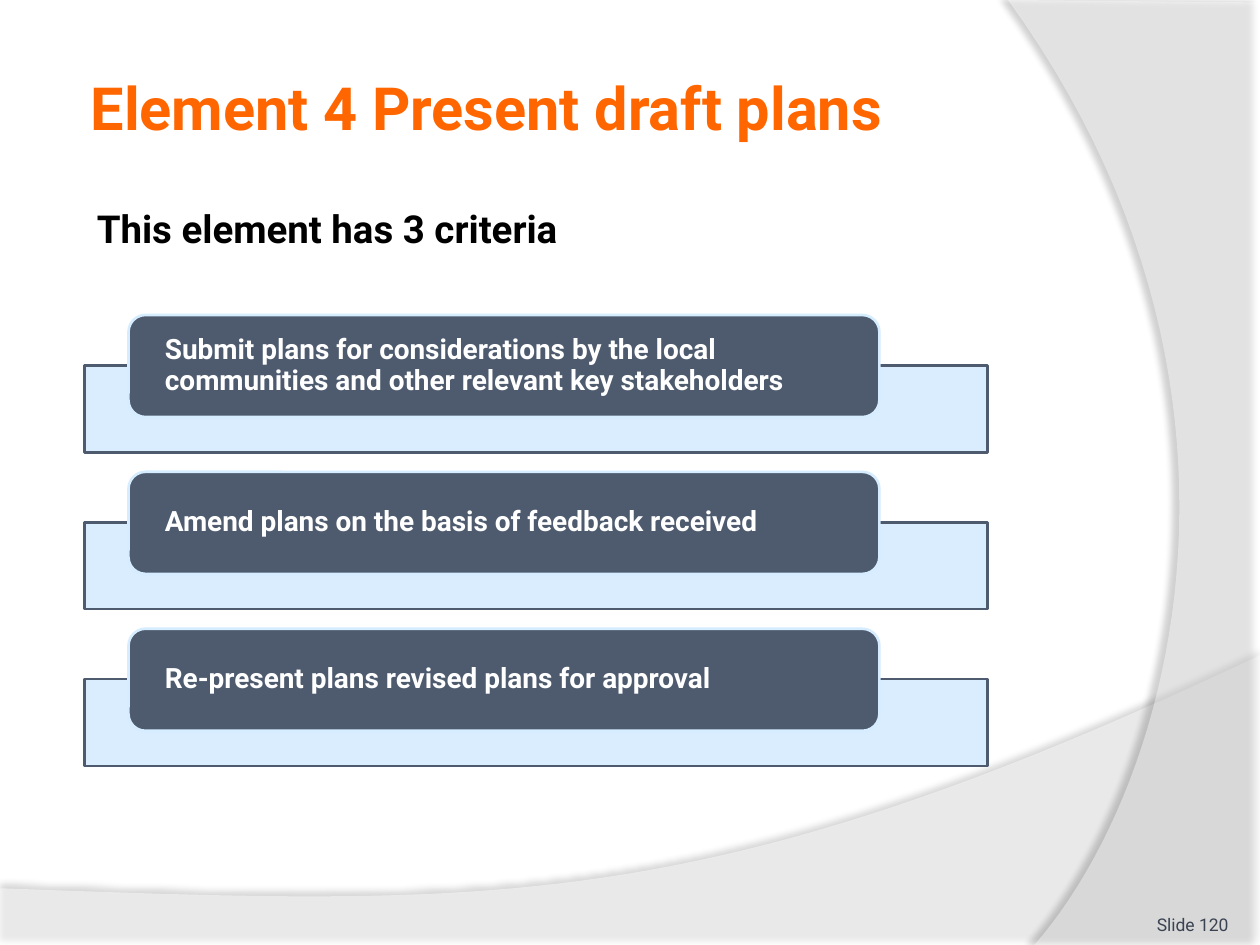
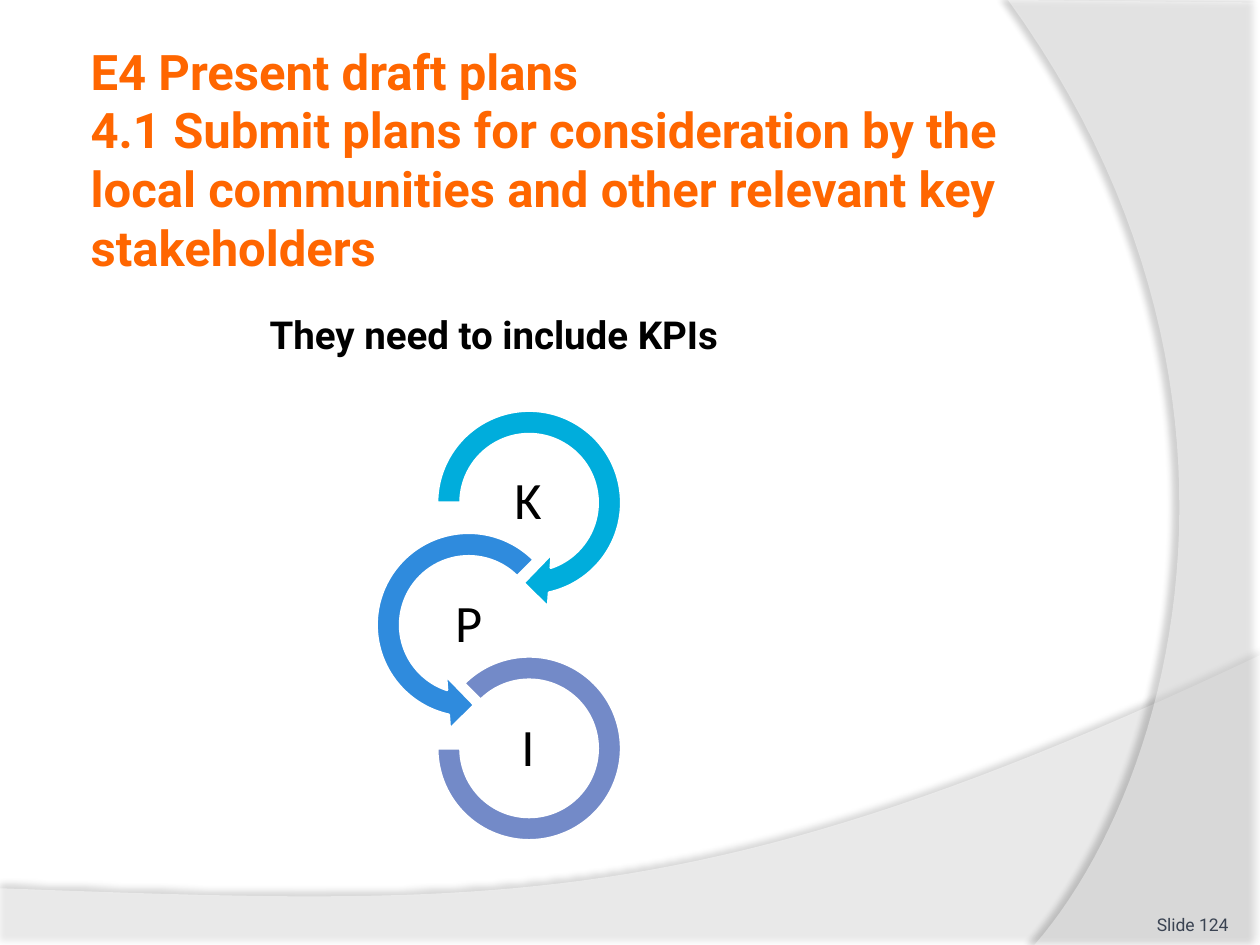
from lxml import etree
from pptx import Presentation
from pptx import util as u
from pptx.dml.color import RGBColor
from pptx.enum import shapes, text
from pptx.oxml.ns import qn

I = u.Inches
SHAPE = shapes.MSO_SHAPE
LEFT = 0.67
WHITE, BLACK, ORANGE = "FFFFFF", "000000", "FF6600"
SLATE, PALE, FOOTER = "4E5B6F", "D6ECFF", "3A4352"

TITLE = {"name": "Roboto", "bold": True, "color": ORANGE}
LEAD = {"name": "Roboto", "bold": True, "color": BLACK, "size": 22}
LABEL = {"name": "Roboto", "bold": True, "color": WHITE, "size": 16}
NUMBER = {"name": "Roboto", "color": FOOTER, "size": 10}
LETTER = {"name": "Calibri", "color": BLACK, "size": 30}


def rgb(hex_string):
    return RGBColor.from_string(hex_string)


def set_alpha(color_parent, percent):
    """Make the colour inside an XML element partly transparent."""
    color = color_parent.find(".//" + qn("a:srgbClr"))
    etree.SubElement(color, qn("a:alpha"), val=str(percent * 1000))


def paint(sp, fill, line=None, alpha=None):
    sp.shadow.inherit = False
    sp.fill.solid()
    sp.fill.fore_color.rgb = rgb(fill)
    if alpha:
        set_alpha(sp._element.spPr.find(qn("a:solidFill")), alpha)
    if line:
        sp.line.color.rgb = rgb(line)
        sp.line.width = u.Pt(1.5)
    else:
        sp.line.fill.background()


def add_shadow(sp, alpha, distance, angle):
    effects = sp._element.spPr.find(qn("a:effectLst"))
    shadow = etree.SubElement(
        effects, qn("a:outerShdw"), blurRad=str(u.Pt(4)), dist=str(u.Pt(distance)),
        dir=str(angle * 60000), algn="ctr", rotWithShape="0")
    etree.SubElement(shadow, qn("a:srgbClr"), val=BLACK)
    set_alpha(shadow, alpha)


def write(sp, words, style, align="LEFT", anchor="MIDDLE", insets=(0.05, 0.05), spacing=None):
    """Fill a shape with one formatted paragraph; insets are (sides, top and bottom)."""
    tf = sp.text_frame
    side, edge = (I(n) for n in insets)
    frame = {"word_wrap": True, "vertical_anchor": getattr(text.MSO_ANCHOR, anchor),
             "margin_left": side, "margin_right": side,
             "margin_top": edge, "margin_bottom": edge}
    for key, value in frame.items():
        setattr(tf, key, value)
    tf.text = words
    p = tf.paragraphs[0]
    p.alignment = getattr(text.PP_ALIGN, align)
    if spacing:
        p.line_spacing = spacing
    for r in p.runs:
        for key, value in style.items():
            if key == "color":
                r.font.color.rgb = rgb(value)
            else:
                setattr(r.font, key, u.Pt(value) if key == "size" else value)


def add_text(s, box, words, style, **options):
    write(s.shapes.add_textbox(*map(I, box)), words, style, **options)


def add_preset(s, kind, box, fill, line, alpha=None, adjustments=()):
    sp = s.shapes.add_shape(kind, *map(I, box))
    for i, value in enumerate(adjustments):
        sp.adjustments[i] = value
    paint(sp, fill, line, alpha)
    return sp


def bezier(p0, p1, p2, p3, steps=48):
    """Points along a cubic curve, without its start."""
    def at(t):
        weights = ((1 - t) ** 3, 3 * t * (1 - t) ** 2, 3 * t * t * (1 - t), t ** 3)
        return tuple(sum(w * p[k] for w, p in zip(weights, (p0, p1, p2, p3))) for k in (0, 1))
    return [at(i / steps) for i in range(1, steps + 1)]


def add_band(s, corners, curve, alpha, shadow):
    """Translucent band: straight corners, then a curve from the last corner."""
    points = [(I(x), I(y)) for x, y in corners + bezier(corners[-1], *curve)]
    builder = s.shapes.build_freeform(*points[0])
    builder.add_line_segments(points[1:], close=True)
    sp = builder.convert_to_shape()
    paint(sp, WHITE, alpha=alpha)
    add_shadow(sp, *shadow)


def add_slide(prs, number, title, title_size, title_height):
    s = prs.slides.add_slide(prs.slide_layouts[6])
    add_band(s, [(0, 7.05), (0, 7.51), (10, 7.51), (10, 5.2)],
             [(5.59, 7.29), (3.91, 7.19), (0, 7.05)], 45, (35, 3.5, 270))
    add_band(s, [(10, 0.02), (10, 7.5), (8.21, 7.5)],
             [(9.35, 6.19), (10.18, 3), (8, 0)], 40, (45, 4, 180))
    add_text(s, (LEFT, 0.36, 8.17, title_height), title, {**TITLE, "size": title_size})
    add_text(s, (8.92, 7.02, 0.83, 0.4), f"Slide {number}", NUMBER,
             align="RIGHT", anchor="BOTTOM", insets=(0, 0))
    return s


def add_lead(s, top, width, words, align):
    add_text(s, (LEFT, top, width, 0.5), words, LEAD,
             align=align, anchor="TOP", insets=(0.1, 0.05))


def add_criteria(s, criteria):
    for i, words in enumerate(criteria):
        top = 2.5 + 1.245 * i
        add_preset(s, SHAPE.RECTANGLE, (LEFT, top + 0.4, 7.17, 0.69), PALE, SLATE, alpha=90)
        label = add_preset(s, SHAPE.ROUNDED_RECTANGLE, (1.02, top, 5.96, 0.81), SLATE, PALE)
        write(label, words, LABEL, insets=(0.25, 0.05), spacing=0.9)


def add_kpi_chain(s):
    links = [
        ("K", 3.72, SHAPE.CIRCULAR_ARROW, (3.35, 3.14, 1.7, 1.7), "00ADDC",
         (0.11, 11.42, 45, 108, 0.125)),
        ("P", 3.25, SHAPE.LEFT_CIRCULAR_ARROW, (2.87, 4.11, 1.7, 1.7), "2F8BDD",
         (0.11, 11.42, 63, 189, 0.125)),
        ("I", 3.72, SHAPE.BLOCK_ARC, (3.47, 5.21, 1.46, 1.46), "738AC8",
         (135, 108, 0.127)),
    ]
    for i, (letter, left, kind, box, color, adjustments) in enumerate(links):
        add_preset(s, kind, box, color, WHITE, adjustments=adjustments)
        add_text(s, (left, 3.75 + 0.98 * i, 0.94, 0.47), letter, LETTER,
                 align="CENTER", insets=(0.02, 0.02), spacing=0.9)


def main():
    prs = Presentation()
    prs.slide_width, prs.slide_height = I(10), I(7.5)

    s = add_slide(prs, 120, "Element 4 Present draft plans", 34, 0.97)
    add_lead(s, 1.58, 8.17, "This element has 3 criteria", "LEFT")
    add_criteria(s, [
        "Submit plans for considerations by the local communities "
        "and other relevant key stakeholders",
        "Amend plans on the basis of feedback received",
        "Re-present plans revised plans for approval",
    ])

    s = add_slide(prs, 124, "E4 Present draft plans\v4.1 Submit plans for consideration by the "
                  "local communities and other relevant key stakeholders", 28, 1.8)
    add_lead(s, 2.42, 6.5, "They need to include KPIs", "CENTER")
    add_kpi_chain(s)

    prs.save("out.pptx")


if __name__ == "__main__":
    main()
